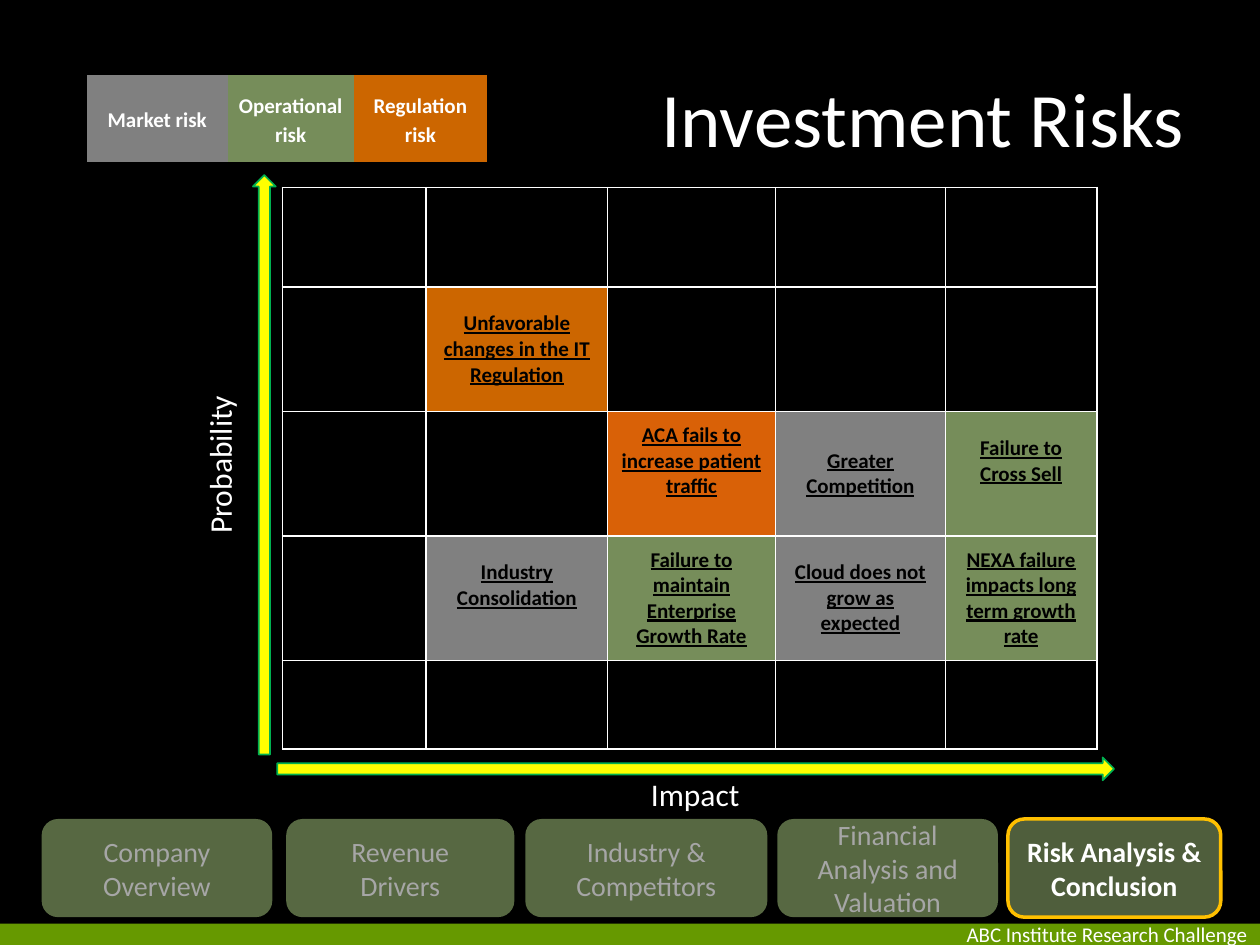
from lxml.etree import SubElement
from pptx import Presentation
from pptx.dml.color import RGBColor
from pptx.enum.shapes import MSO_SHAPE
from pptx.enum.text import MSO_ANCHOR, PP_ALIGN
from pptx.oxml.ns import qn
from pptx.util import Cm, Pt

BLACK = RGBColor(0x00, 0x00, 0x00)
WHITE = RGBColor(0xFF, 0xFF, 0xFF)
SILVER = RGBColor(0xA6, 0xA6, 0xA6)
GRAY = RGBColor(0x80, 0x80, 0x80)
OLIVE = RGBColor(0x76, 0x8D, 0x5A)
DARK_OLIVE = RGBColor(0x4F, 0x5E, 0x3C)
RUST = RGBColor(0xCC, 0x66, 0x00)
ORANGE = RGBColor(0xD9, 0x61, 0x07)
LIME = RGBColor(0x66, 0x99, 0x00)
GOLD = RGBColor(0xFF, 0xC0, 0x00)
YELLOW = RGBColor(0xFF, 0xFF, 0x00)
GREEN = RGBColor(0x00, 0xB0, 0x50)

TITLE = {"size": Pt(44)}
AXIS = {"size": Pt(18)}
FOOTER = {"size": Pt(12)}
BUTTON = {"size": Pt(16)}
ACTIVE = {"size": Pt(16), "bold": True}
LEGEND = {"size": Pt(12), "bold": True}
RISK = {"size": Pt(12), "bold": True, "underline": True}

LEGEND_ITEMS = [("Market risk", GRAY), ("Operational risk", OLIVE), ("Regulation risk", RUST)]
LEGEND_COLUMNS = [2.84, 2.54, 2.69]
GRID_COLUMNS = [2.9, 3.66, 3.38, 3.43, 3.05]
GRID_ROWS = [2.01, 2.51, 2.51, 2.51, 1.78]
RAISED = 0.64
LEVEL = 0.13
RISKS = {
    (1, 1): ("Unfavorable changes in the IT Regulation", RUST, LEVEL),
    (2, 2): ("ACA fails to increase patient traffic", ORANGE, RAISED),
    (2, 3): ("Greater Competition", GRAY, LEVEL),
    (2, 4): ("Failure to Cross Sell", OLIVE, RAISED),
    (3, 1): ("Industry Consolidation", GRAY, RAISED),
    (3, 2): ("Failure to maintain Enterprise Growth Rate", OLIVE, LEVEL),
    (3, 3): ("Cloud does not grow as expected", GRAY, LEVEL),
    (3, 4): ("NEXA failure impacts long term growth rate", OLIVE, LEVEL),
}
SECTIONS = [
    ("Company Overview", 0, 4.65),
    ("Revenue\nDrivers", 4.93, 4.6),
    ("Industry & Competitors", 9.75, 4.88),
    ("Financial Analysis and Valuation", 14.83, 4.45),
    ("Risk Analysis & Conclusion", 19.48, 4.29),
]


def write(frame, text, style, color, align=PP_ALIGN.CENTER, spacing=None):
    """Fill a text frame with one paragraph per line."""
    frame.word_wrap = True
    for index, line in enumerate(text.split("\n")):
        para = frame.add_paragraph() if index else frame.paragraphs[0]
        para.alignment = align
        para.line_spacing = spacing
        span = para.add_run()
        span.text = line
        span.font.color.rgb = color
        for name, value in {"name": "Calibri", **style}.items():
            setattr(span.font, name, value)


def add_label(page, box, text, style, align=PP_ALIGN.CENTER, rotation=0):
    """Place white text in a box."""
    label = page.shapes.add_textbox(*map(Cm, box))
    label.rotation = rotation
    label.text_frame.vertical_anchor = MSO_ANCHOR.MIDDLE
    write(label.text_frame, text, style, WHITE, align)


def add_block(page, kind, box, fill, line=None, weight=1):
    """Place a flat filled shape with an optional outline."""
    block = page.shapes.add_shape(kind, *map(Cm, box))
    block.shadow.inherit = False
    block.fill.solid()
    block.fill.fore_color.rgb = fill
    if line is None:
        block.line.fill.background()
    else:
        block.line.color.rgb = line
        block.line.width = Pt(weight)
    block.text_frame.vertical_anchor = MSO_ANCHOR.MIDDLE
    return block


def set_borders(cell, color=None):
    """Give the four sides of a cell one border, or none."""
    properties = cell._tc.get_or_add_tcPr()
    for side in ("a:lnL", "a:lnR", "a:lnT", "a:lnB"):
        border = SubElement(properties, qn(side), w=str(Pt(1)))
        if color is None:
            SubElement(border, qn("a:noFill"))
        else:
            fill = SubElement(border, qn("a:solidFill"))
            SubElement(fill, qn("a:srgbClr"), val=str(color))


def add_plain_table(page, left, top, columns, rows, border=None):
    """Place a table without banding, sized by its columns and rows."""
    size = (sum(columns), sum(rows))
    frame = page.shapes.add_table(len(rows), len(columns), *map(Cm, (left, top, *size)))
    table = frame.table
    table.first_row = table.horz_banding = False
    for column, width in zip(table.columns, columns):
        column.width = Cm(width)
    for row, height in zip(table.rows, rows):
        row.height = Cm(height)
    for cell in table.iter_cells():
        set_borders(cell, border)
        cell.fill.background()
        cell.vertical_anchor = MSO_ANCHOR.MIDDLE
    return table


def add_legend(page, left, top):
    """Place the key of risk types."""
    table = add_plain_table(page, left, top, LEGEND_COLUMNS, [1.75])
    margins = {"margin_left": 0.18, "margin_right": 0.18, "margin_top": 0, "margin_bottom": 0}
    for cell, (text, color) in zip(table.iter_cells(), LEGEND_ITEMS):
        cell.fill.solid()
        cell.fill.fore_color.rgb = color
        for name, value in margins.items():
            setattr(cell, name, Cm(value))
        write(cell.text_frame, text, LEGEND, WHITE, spacing=1.15)


def add_risk_matrix(page, left, top):
    """Place the risk grid with its two axes."""
    table = add_plain_table(page, left, top, GRID_COLUMNS, GRID_ROWS, WHITE)
    for position, (text, color, bottom) in RISKS.items():
        cell = table.cell(*position)
        cell.fill.solid()
        cell.fill.fore_color.rgb = color
        cell.margin_bottom = Cm(bottom)
        write(cell.text_frame, text, RISK, BLACK)
    arrow = MSO_SHAPE.RIGHT_ARROW
    add_label(page, (left - 3.81, top + 5.08, 5.08, 1.02), "Probability", AXIS, rotation=270)
    add_block(page, arrow, (left - 0.1, top + 11.49, 16.87, 0.46), YELLOW, GREEN)
    add_label(page, (left + 5, top + 11.71, 6.65, 1.02), "Impact", AXIS)
    upward = add_block(page, arrow, (left - 6.2, top + 5.36, 11.68, 0.46), YELLOW, GREEN)
    upward.rotation = 270


def add_navigation(page, left, top, height):
    """Place the section buttons, with the last one active."""
    for text, offset, width in SECTIONS:
        box = (left + offset, top, width, height)
        if text == SECTIONS[-1][0]:
            button = add_block(page, MSO_SHAPE.ROUNDED_RECTANGLE, box, DARK_OLIVE, GOLD, 2)
            write(button.text_frame, text, ACTIVE, WHITE)
        else:
            button = add_block(page, MSO_SHAPE.ROUNDED_RECTANGLE, box, OLIVE)
            color = button.fill._xPr.find(".//" + qn("a:srgbClr"))
            SubElement(color, qn("a:alpha"), val="74000")
            write(button.text_frame, text, BUTTON, SILVER)


def add_footer(page, box):
    """Place the footer band."""
    band = add_block(page, MSO_SHAPE.RECTANGLE, box, LIME)
    write(band.text_frame, "ABC Institute Research Challenge", FOOTER, WHITE, PP_ALIGN.RIGHT)


def main():
    """Build and save the deck."""
    deck = Presentation()
    deck.slide_width, deck.slide_height = Cm(25.4), Cm(19.05)
    page = deck.slides.add_slide(deck.slide_layouts[6])
    page.background.fill.solid()
    page.background.fill.fore_color.rgb = BLACK
    add_label(page, (1.27, 0.76, 22.86, 3.18), "Investment Risks", TITLE, PP_ALIGN.RIGHT)
    add_footer(page, (0, 18.62, 25.4, 0.43))
    add_navigation(page, 0.84, 16.51, 1.98)
    add_legend(page, 1.75, 1.52)
    add_risk_matrix(page, 5.69, 3.78)
    deck.save("out.pptx")


if __name__ == "__main__":
    main()
